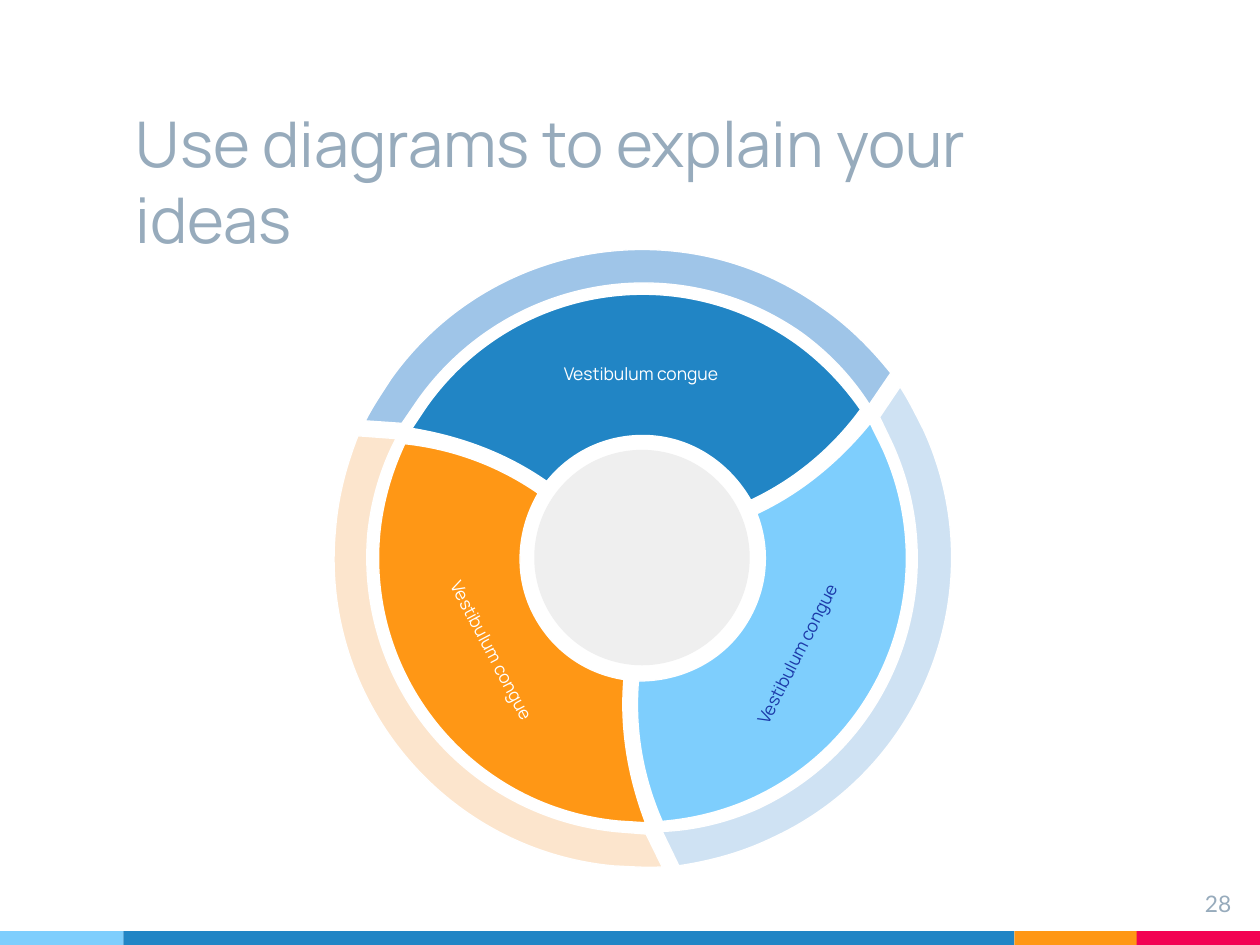
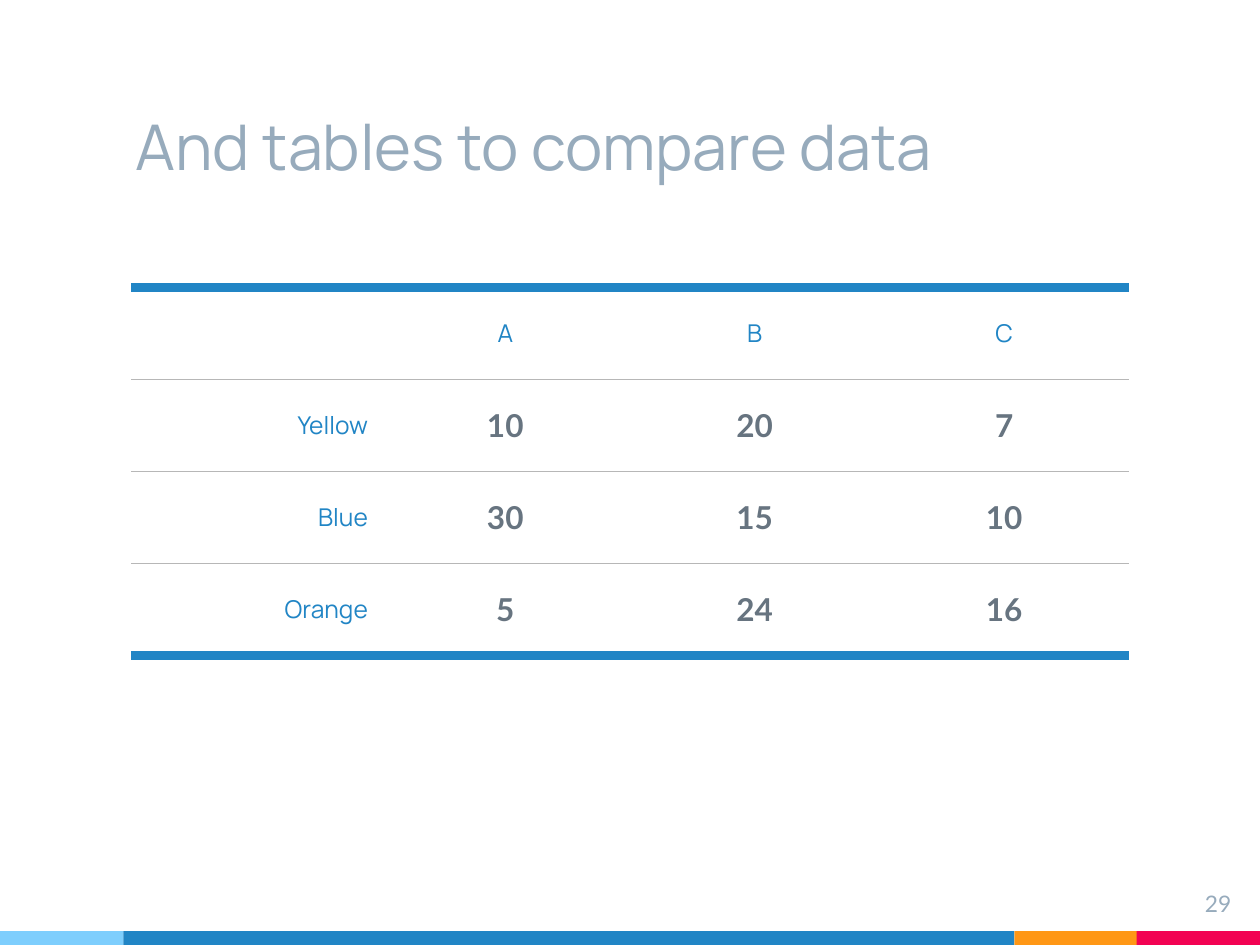
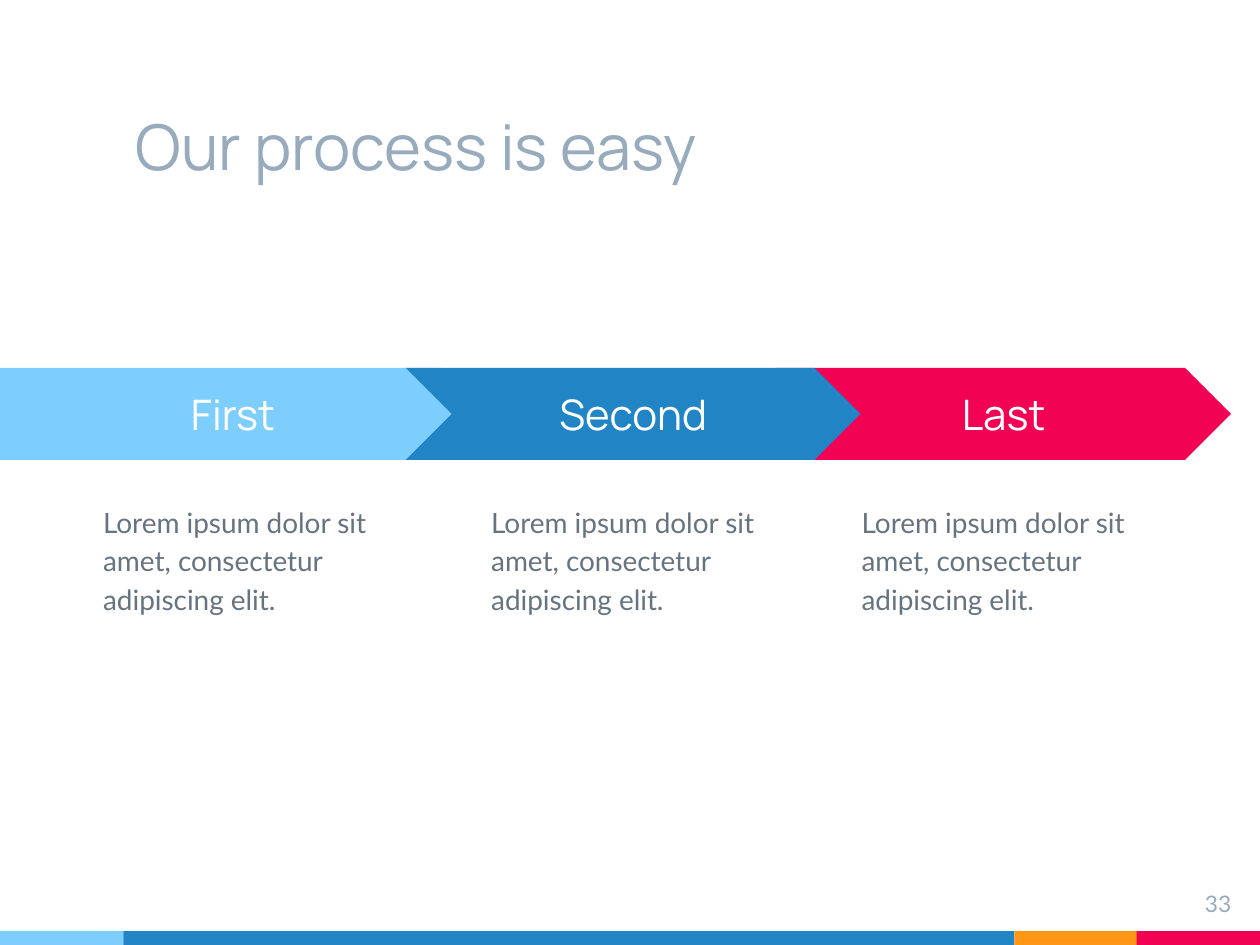
from dataclasses import dataclass
from math import cos, radians, sin

from lxml import etree
from pptx import Presentation
from pptx.dml.color import RGBColor
from pptx.enum.shapes import MSO_SHAPE
from pptx.enum.text import MSO_ANCHOR, PP_ALIGN
from pptx.oxml.ns import qn
from pptx.util import Inches, Pt

RECT, OVAL = MSO_SHAPE.RECTANGLE, MSO_SHAPE.OVAL
CHEVRON, PENTAGON = MSO_SHAPE.CHEVRON, MSO_SHAPE.PENTAGON
TOP, MIDDLE, BOTTOM = MSO_ANCHOR.TOP, MSO_ANCHOR.MIDDLE, MSO_ANCHOR.BOTTOM
LEFT, CENTER, RIGHT = PP_ALIGN.LEFT, PP_ALIGN.CENTER, PP_ALIGN.RIGHT


@dataclass(frozen=True)
class Theme:
    sky: str = "7ECEFD"
    blue: str = "2185C5"
    orange: str = "FF9715"
    red: str = "F20253"
    navy: str = "1C3AA9"
    white: str = "FFFFFF"
    pale_sky: str = "CFE2F3"
    pale_blue: str = "9FC5E8"
    pale_orange: str = "FCE5CD"
    hub: str = "EFEFEF"
    rule: str = "B7B7B7"
    # Text styles: font, size, colour, bold
    title: tuple = ("Manrope", 36, "97ABBC", False)
    number: tuple = ("Lato", 13, "97ABBC", False)
    head: tuple = ("Manrope", 14, "2185C5", False)
    value: tuple = ("Lato", 18, "677480", True)
    step: tuple = ("Manrope", 24, "FFFFFF", False)
    body: tuple = ("Lato", 16, "677480", False)
    light_label: tuple = ("Manrope", 10, "FFFFFF", False)
    dark_label: tuple = ("Manrope", 10, "1C3AA9", False)


T = Theme()


def add_box(s, box, kind=None, fill=None, anchor=TOP):
    """Add a preset shape, or a text box when no kind is given."""
    box = [Inches(v) for v in box]
    if kind is None:
        sp = s.shapes.add_textbox(*box)
    else:
        sp = s.shapes.add_shape(kind, *box)
        sp.shadow.inherit = False
        sp.fill.solid()
        sp.fill.fore_color.rgb = RGBColor.from_string(fill)
        sp.line.fill.background()
    tf = sp.text_frame
    tf.word_wrap = True
    tf.vertical_anchor = anchor
    tf.margin_left = tf.margin_right = tf.margin_top = tf.margin_bottom = Inches(0.1)
    return sp


def write_text(tf, text, style, align=LEFT):
    font, size, color, bold = style
    p = tf.paragraphs[0]
    p.alignment = align
    r = p.add_run()
    r.text = text
    r.font.name, r.font.size, r.font.bold = font, Pt(size), bold
    r.font.color.rgb = RGBColor.from_string(color)
    return p


prs = Presentation()
prs.slide_width, prs.slide_height = Inches(10), Inches(7.5)

# Shared frame: colour bands, title, slide number
bands = [(8.05, 0.98, T.orange), (9.02, 0.98, T.red), (0, 0.98, T.sky), (0.98, 7.07, T.blue)]
pages = [
    ("Use diagrams to explain your ideas", 0.88, "28"),
    ("And tables to compare data", 0.3, "29"),
    ("Our process is easy", 0.3, "33"),
]
slides = []
for title, title_top, number in pages:
    s = prs.slides.add_slide(prs.slide_layouts[6])
    for left, width, color in bands:
        add_box(s, (left, 7.39, width, 0.11), RECT, color)
    sp = add_box(s, (0.98, title_top, 7.07, 1.25), anchor=BOTTOM)
    write_text(sp.text_frame, title, T.title)
    slides.append(s)
wheel, comparison, process = slides

# Wheel: one ring piece and one sector, turned by thirds around the hub.
# Each curve lists two control points and an end point; one point is a straight edge.
CX, CY, HUB, TILT = 5.1, 4.43, 1.71, 305.3
ring = [
    [(3.32, 3.17)],
    [(4.02, 2.19), (5.37, 1.95), (6.36, 2.64)],
    [(6.58, 2.8), (6.76, 2.99), (6.9, 3.21)],
    [(7.07, 2.96)],
    [(6.91, 2.76), (6.73, 2.58), (6.51, 2.43)],
    [(5.41, 1.65), (3.88, 1.91), (3.1, 3.01)],
    [(3.03, 3.12), (2.96, 3.22), (2.9, 3.34)],
    [(3.19, 3.36)],
]
sector = [
    [(3.39, 3.22)],
    [(3.35, 3.28), (3.31, 3.34), (3.27, 3.4)],
    [(3.64, 3.46), (4.01, 3.59), (4.34, 3.82)],
    [(4.54, 3.57), (4.85, 3.43), (5.19, 3.46)],
    [(5.52, 3.49), (5.8, 3.69), (5.96, 3.97)],
    [(6.32, 3.8), (6.61, 3.55), (6.83, 3.25)],
    [(6.69, 3.05), (6.52, 2.87), (6.31, 2.72)],
    [(5.36, 2.05), (4.06, 2.28), (3.39, 3.22)],
]
add_box(wheel, (4.24, 3.57, HUB, HUB), OVAL, T.hub)
# Turn, ring box and colour, sector box and colour, label place, turn and style
thirds = [
    (120, (4.54, 4.42, 4.12, 1.57), T.pale_sky, (4.49, 4.29, 3.53, 1.56), T.sky,
     (5.31, 4.81), 297, T.dark_label),
    (0, (3.6, 1.49, 2.83, 3.21), T.pale_blue, (3.93, 1.86, 2.31, 2.83), T.blue,
     (4.08, 2.6), 0, T.light_label),
    (240, (2.88, 3.36, 2.1, 3.94), T.pale_orange, (3.11, 3.42, 2.04, 3.3), T.orange,
     (2.89, 4.81), 62.1, T.light_label),
]
for turn, ring_box, ring_color, sector_box, sector_color, label_at, label_turn, style in thirds:
    c, n = cos(radians(turn)), sin(radians(turn))
    back_c, back_n = cos(radians(-TILT)), sin(radians(-TILT))
    for outline, box, color in ((ring, ring_box, ring_color), (sector, sector_box, sector_color)):
        left, top, width, height = box
        curves = []
        for curve in outline:
            local = []
            for x, y in curve:
                # Turn about the hub, then undo the tilt about the middle of the box
                dx = CX + (x - CX) * c - (y - CY) * n - left - width / 2
                dy = CY + (x - CX) * n + (y - CY) * c - top - height / 2
                local.append((Inches(width / 2 + dx * back_c - dy * back_n),
                              Inches(height / 2 + dx * back_n + dy * back_c)))
            curves.append(local)
        builder = wheel.shapes.build_freeform(*curves[0][0])
        builder.add_line_segments([curve[-1] for curve in curves[1:]], close=True)
        sp = builder.convert_to_shape()
        sp.left, sp.top, sp.width, sp.height = [Inches(v) for v in box]
        sp.rotation = TILT
        outline_xml = next(sp._element.iter(qn("a:path")))
        outline_xml.set("w", str(sp.width))
        outline_xml.set("h", str(sp.height))
        for curve, segment in zip(curves, list(outline_xml)):
            if len(curve) == 3:
                segment_tag = "a:cubicBezTo"
            else:
                segment_tag = "a:lnTo" if segment.tag == qn("a:lnTo") else "a:moveTo"
            drawn = etree.Element(qn(segment_tag))
            for x, y in curve:
                pt = etree.SubElement(drawn, qn("a:pt"))
                pt.set("x", str(x))
                pt.set("y", str(y))
            outline_xml.replace(segment, drawn)
        sp.shadow.inherit = False
        sp.fill.solid()
        sp.fill.fore_color.rgb = RGBColor.from_string(color)
        sp.line.color.rgb = RGBColor.from_string(T.white)
        sp.line.width = Pt(0.75)
    sp = add_box(wheel, (*label_at, 2.04, 0.73), anchor=MIDDLE)
    sp.rotation = label_turn
    write_text(sp.text_frame, "Vestibulum congue ", style, CENTER)

# Comparison table
rows = [
    ("", "A", "B", "C"),
    ("Yellow", "10", "20", "7"),
    ("Blue", "30", "15", "10"),
    ("Orange", "5", "24", "16"),
]
COL, ROW = 1.98, 0.73
table = comparison.shapes.add_table(4, 4, Inches(1.04), Inches(2.28),
                                    Inches(4 * COL), Inches(4 * ROW)).table
table.first_row = table.horz_banding = False
thin, thick = (T.rule, 0.75), (T.blue, 6)
for i, row in enumerate(rows):
    table.rows[i].height = Inches(ROW)
    table.columns[i].width = Inches(COL)
    for j, text in enumerate(row):
        cell = table.cell(i, j)
        cell.vertical_anchor = MIDDLE
        cell.margin_left = cell.margin_right = cell.margin_top = cell.margin_bottom = Inches(0.1)
        if text:
            write_text(cell.text_frame, text, T.value if i and j else T.head,
                       CENTER if j else RIGHT)
        borders = {"a:lnL": None, "a:lnR": None,
                   "a:lnT": thin if i else thick,
                   "a:lnB": thin if i < len(rows) - 1 else thick}
        tcPr = cell._tc.get_or_add_tcPr()
        for tag, border in borders.items():
            ln = etree.SubElement(tcPr, qn(tag))
            if border is None:
                etree.SubElement(ln, qn("a:noFill"))
                continue
            color, width = border
            ln.set("w", str(Pt(width)))
            fill = etree.SubElement(ln, qn("a:solidFill"))
            etree.SubElement(fill, qn("a:srgbClr")).set("val", color)
        cell.fill.background()

# Process arrows: the second one lies over both neighbours
steps = [
    ("Last", CHEVRON, 6.16, 3.61, T.red, 6.74),
    ("First", PENTAGON, 0, 3.88, T.sky, 0.72),
    ("Second", CHEVRON, 3.22, 3.61, T.blue, 3.8),
]
for name, kind, left, width, color, text_left in steps:
    sp = add_box(process, (left, 2.92, width, 0.73), kind, color, MIDDLE)
    write_text(sp.text_frame, name, T.step, CENTER)
    sp = add_box(process, (text_left, 3.87, 2.45, 2.86))
    p = write_text(sp.text_frame, "Lorem ipsum dolor sit amet, consectetur adipiscing elit.", T.body)
    p.line_spacing = 1.15

for s, (_, _, number) in zip(slides, pages):
    sp = add_box(s, (9.27, 6.96, 0.6, 0.46))
    write_text(sp.text_frame, number, T.number, RIGHT)

prs.save("out.pptx")
